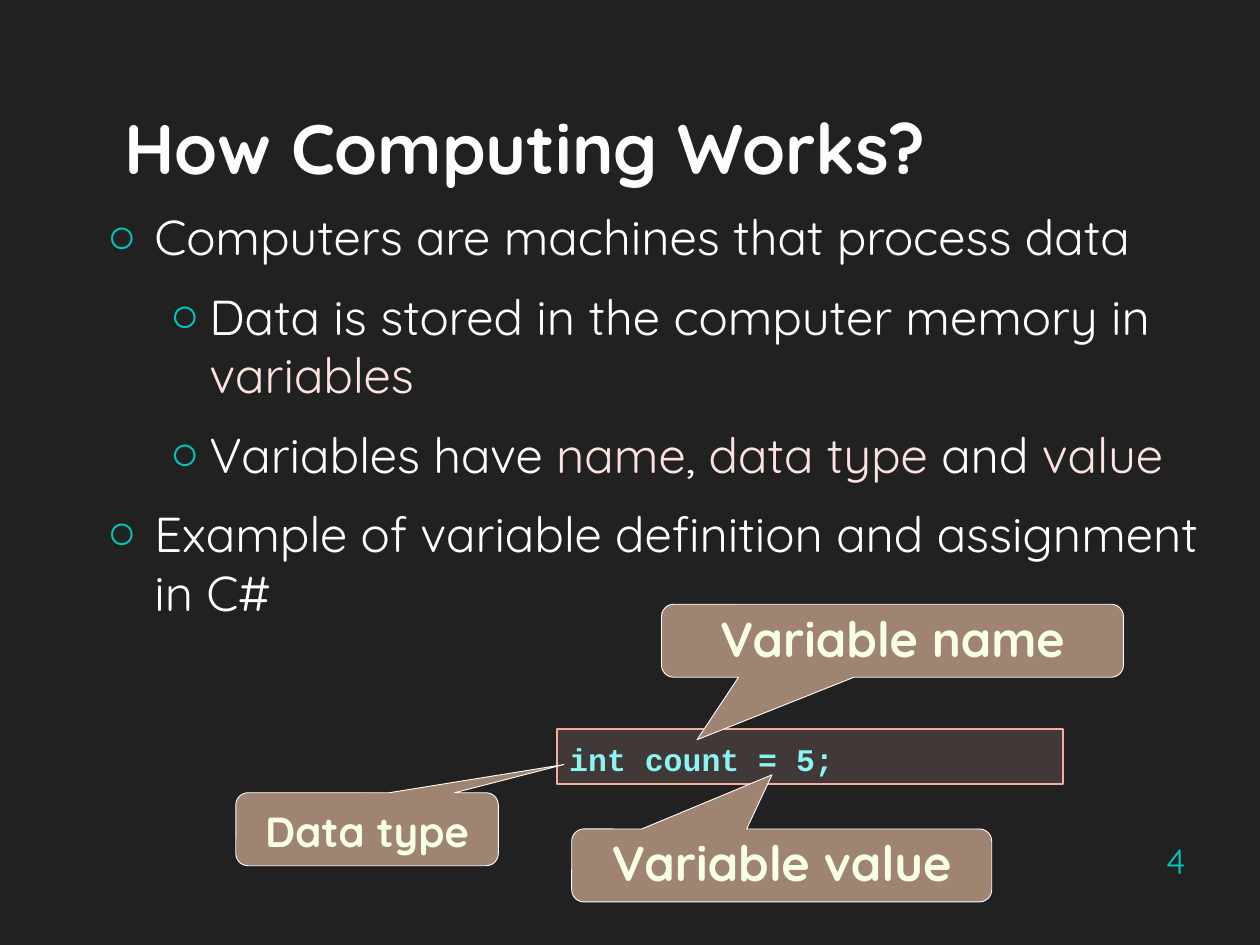
import pptx
import pptx.util
import pptx.dml.color
import pptx.enum.shapes
import pptx.enum.text
import pptx.oxml
import pptx.oxml.ns

Pt = pptx.util.Pt
Align = pptx.enum.text.PP_ALIGN
Anchor = pptx.enum.text.MSO_ANCHOR
Shape = pptx.enum.shapes.MSO_SHAPE
NAMESPACE = pptx.oxml.ns.nsdecls("a")
WHITE, PINK, TEAL = "FFFFFF", "FCE3DF", "00C6BB"


def color(hex_string):
    return pptx.dml.color.RGBColor.from_string(hex_string)


def style(span, size, hex_string, bold=False, name="Quicksand"):
    span.font.size = Pt(size)
    span.font.name = name
    span.font.bold = bold
    span.font.color.rgb = color(hex_string)


deck = pptx.Presentation()
deck.slide_width, deck.slide_height = Pt(720), Pt(540)
page = deck.slides.add_slide(deck.slide_layouts[1])
page.background.fill.solid()
page.background.fill.fore_color.rgb = color("212121")

title = page.shapes.title
title.left, title.top, title.width, title.height = Pt(64), Pt(35.3), Pt(592.5), Pt(76.3)
title.text_frame.text = "How Computing Works?"
title.text_frame.auto_size = pptx.enum.text.MSO_AUTO_SIZE.NONE
title.text_frame.vertical_anchor = Anchor.BOTTOM
title.text_frame.paragraphs[0].alignment = Align.LEFT
style(title.text_frame.paragraphs[0].runs[0], 40, "FEFEFE", bold=True)

bullets = [
    (0, [("Computers are machines that process data", WHITE)]),
    (1, [("Data is stored in the computer memory in ", WHITE), ("variables", PINK)]),
    (1, [("Variables have ", WHITE), ("name", PINK), (", ", WHITE),
         ("data type ", PINK), ("and ", WHITE), ("value", PINK)]),
    (0, [("Example of variable definition and assignment in C#", WHITE)]),
]
indents = [(27, -27), (58.5, -22.5)]

body = page.placeholders[1]
body.left, body.top, body.width, body.height = Pt(54), Pt(26.6), Pt(657.4), Pt(419.8)
body.text_frame.auto_size = pptx.enum.text.MSO_AUTO_SIZE.NONE
body.text_frame.vertical_anchor = Anchor.MIDDLE
for index, (level, spans) in enumerate(bullets):
    para = body.text_frame.add_paragraph() if index else body.text_frame.paragraphs[0]
    para.level = level
    para.alignment = Align.LEFT
    para.space_before, para.space_after = Pt(5.6), Pt(6)
    properties = para._p.get_or_add_pPr()
    margin, hanging = indents[level]
    properties.set("marL", str(Pt(margin)))
    properties.set("indent", str(Pt(hanging)))
    for markup in (f'<a:buClr {NAMESPACE}><a:srgbClr val="{TEAL}"/></a:buClr>',
                   f'<a:buChar {NAMESPACE} char="○"/>'):
        properties.append(pptx.oxml.parse_xml(markup))
    for text, hex_string in spans:
        span = para.add_run()
        span.text = text
        style(span, 28, hex_string)

number = page.shapes.add_textbox(Pt(622), Pt(465.8), Pt(62.6), Pt(38.9))
number.text_frame.word_wrap = True
number.text_frame.margin_bottom = Pt(0.7)
number.text_frame.vertical_anchor = Anchor.BOTTOM
number.text_frame.text = "4"
number.text_frame.paragraphs[0].alignment = Align.RIGHT
style(number.text_frame.paragraphs[0].runs[0], 20, TEAL)

code = page.shapes.add_shape(Shape.RECTANGLE, Pt(318.2), Pt(416.7), Pt(289.4), Pt(31.2))
code.shadow.inherit = False
code.fill.solid()
code.fill.fore_color.rgb = color("F9C8BF")
fill_color = code.fill._xPr.find(".//" + pptx.oxml.ns.qn("a:srgbClr"))
fill_color.append(pptx.oxml.parse_xml(f'<a:alpha {NAMESPACE} val="15000"/>'))
code.line.color.rgb = color("F5AC9F")
code.line.width = Pt(1)
code.text_frame.word_wrap = True
code.text_frame.text = "int count = 5;"
para = code.text_frame.paragraphs[0]
para.alignment = Align.LEFT
para.line_spacing = 1.1
style(para.runs[0], 18, "8CF4F2", bold=True, name="Courier New")

callouts = [
    ("Data type", 24, 134.8, 453, 150, (0.75, -0.887)),
    ("Variable name", 28, 378, 345.3, 264, (-0.423, 1.357)),
    ("Variable value", 28, 326.7, 473.7, 240, (-0.023, -1.243)),
]
for text, size, left, top, width, tip in callouts:
    callout = page.shapes.add_shape(
        Shape.ROUNDED_RECTANGULAR_CALLOUT, Pt(left), Pt(top), Pt(width), Pt(41.7))
    callout.adjustments[0], callout.adjustments[1] = tip
    callout.adjustments[2] = 0.167
    callout.shadow.inherit = False
    callout.fill.solid()
    callout.fill.fore_color.rgb = color("9F8471")
    callout.line.color.rgb = color(WHITE)
    callout.line.width = Pt(0.5)
    callout.text_frame.word_wrap = True
    callout.text_frame.text = text
    para = callout.text_frame.paragraphs[0]
    para.alignment = Align.CENTER
    para.line_spacing = Pt(30)
    style(para.runs[0], size, "F7FFE7", bold=True)

deck.save("out.pptx")
